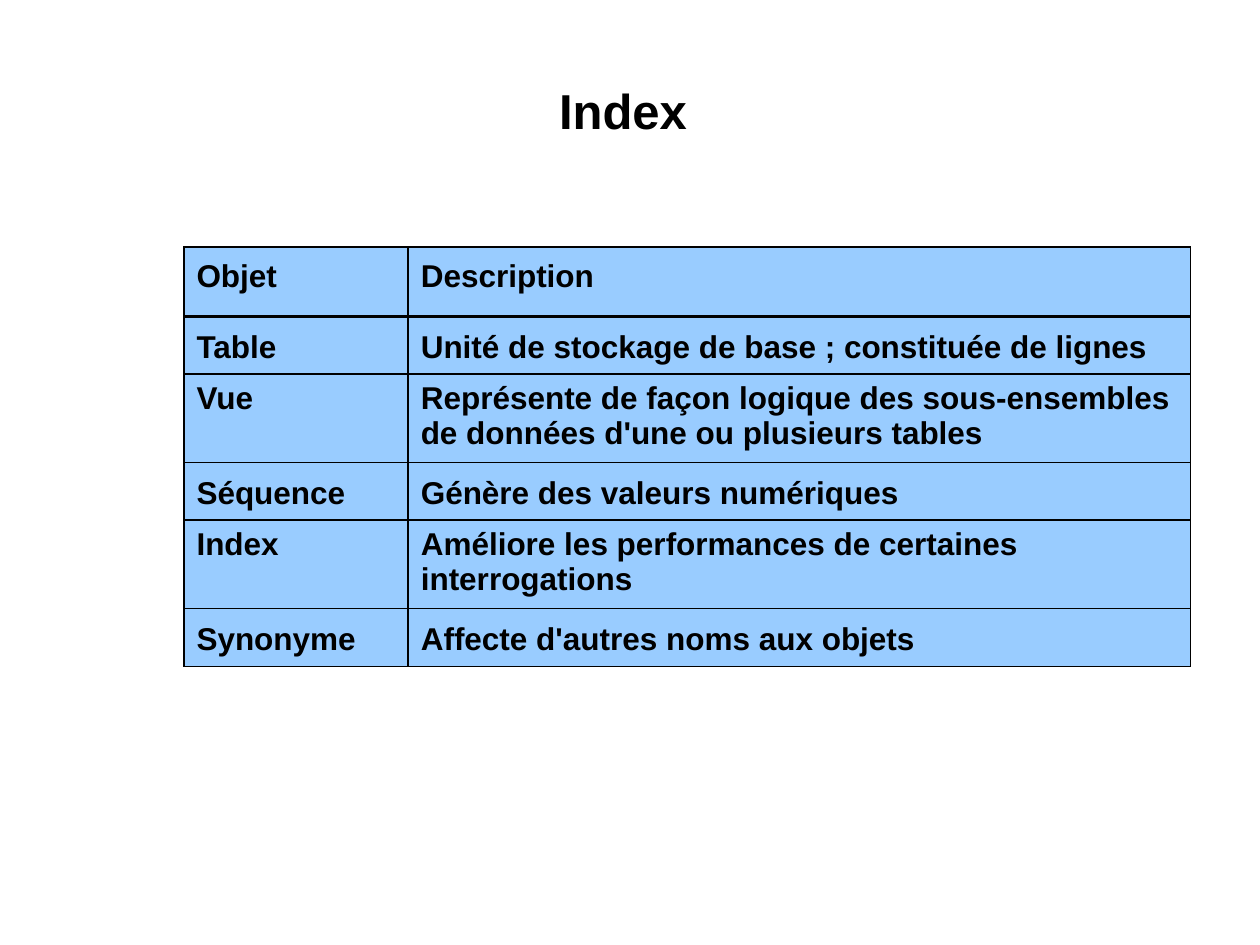
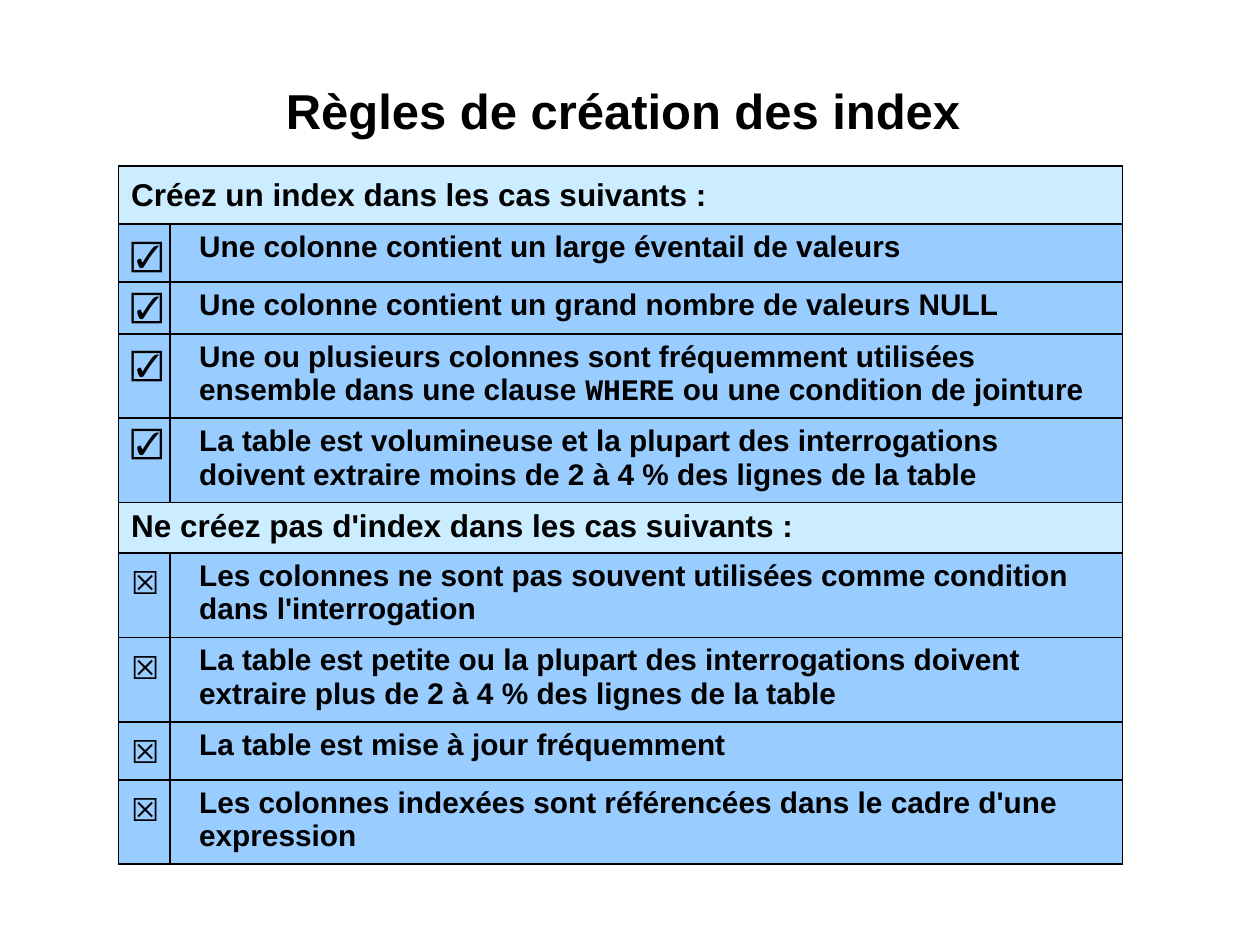
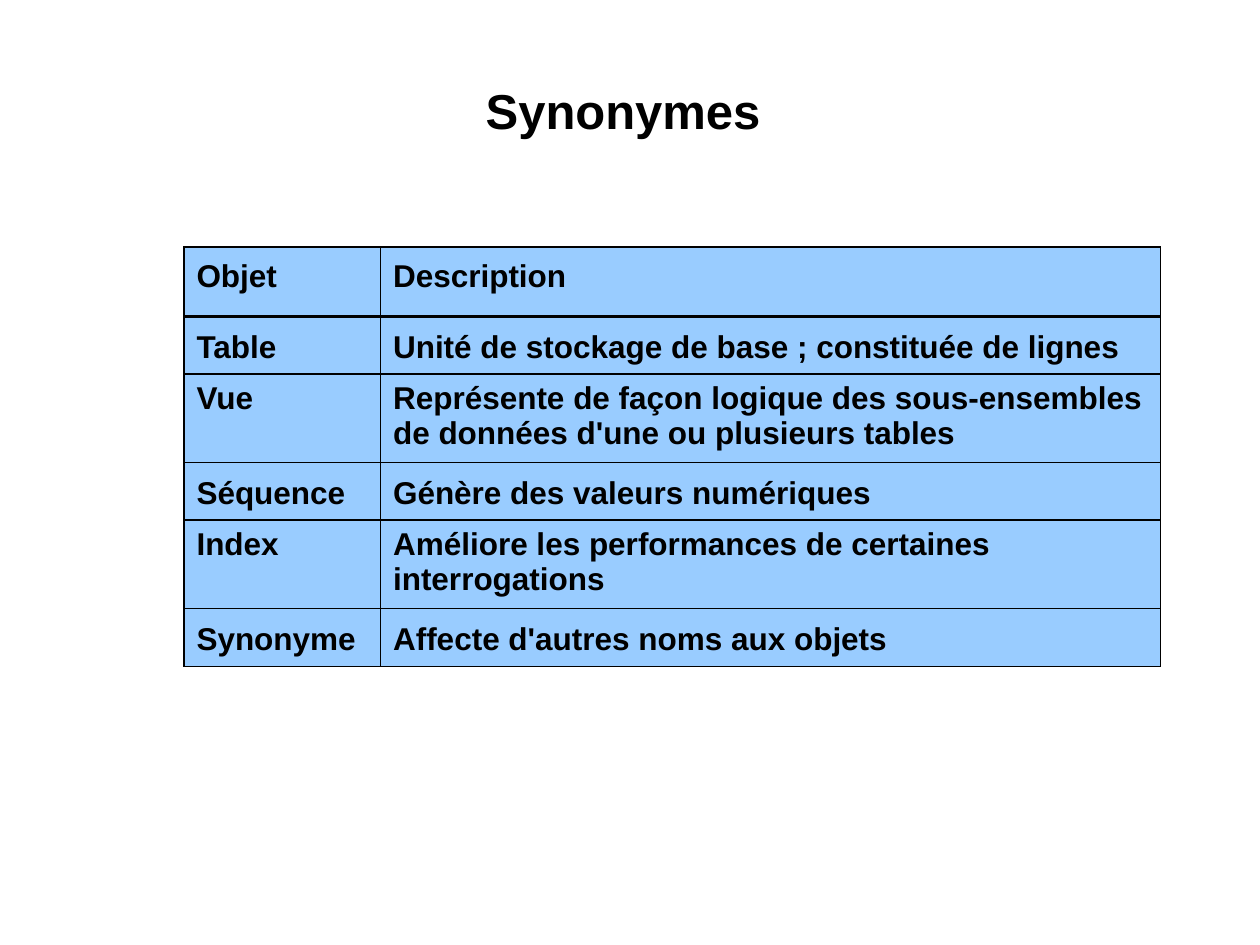
from lxml import etree
from pptx import Presentation
from pptx.dml.color import RGBColor
from pptx.enum.text import MSO_ANCHOR, MSO_AUTO_SIZE, PP_ALIGN
from pptx.oxml.ns import qn
from pptx.util import Inches, Pt

# Shared look
BLACK = RGBColor(0x00, 0x00, 0x00)
BLUE = RGBColor(0x99, 0xCC, 0xFF)
PALE = RGBColor(0xCC, 0xEC, 0xFF)
FONT, CODE_FONT = "Arial", "Courier New"
THIN, THICK = 1.08, 2.21

# Content: row height, line spacing of the first column, cells
OBJECT_ROWS = [
    (0.55, 1.15, ("Objet", "Description")),
    (0.46, 1.2, ("Table", "Unité de stockage de base ; constituée de lignes")),
    (0.7, 1, ("Vue", "Représente de façon logique des sous-ensembles "
                     "de données d'une ou plusieurs tables")),
    (0.46, 1.2, ("Séquence", "Génère des valeurs numériques")),
    (0.7, 1, ("Index", "Améliore les performances de certaines interrogations")),
    (0.46, 1.2, ("Synonyme", "Affecte d'autres noms aux objets")),
]
# A row with one cell is a heading across the table; backticks mark code
RULE_ROWS = [
    (0.46, 1.15, ("Créez un index dans les cas suivants :",)),
    (0.46, 1.2, ("☑", "Une colonne contient un large éventail de valeurs")),
    (0.41, 1, ("☑", "Une colonne contient un grand nombre de valeurs NULL")),
    (0.67, 1.2, ("☑", "Une ou plusieurs colonnes sont fréquemment utilisées ensemble "
                      "dans une clause `WHERE` ou une condition de jointure")),
    (0.67, 1, ("☑", "La table est volumineuse et la plupart des interrogations doivent "
                    "extraire moins de 2 à 4 % des lignes de la table")),
    (0.4, 1, ("Ne créez pas d'index dans les cas suivants :",)),
    (0.67, 1.2, ("☒", "Les colonnes ne sont pas souvent utilisées comme condition "
                      "dans l'interrogation")),
    (0.67, 1.2, ("☒", "La table est petite ou la plupart des interrogations doivent "
                      "extraire plus de 2 à 4 % des lignes de la table")),
    (0.46, 1.2, ("☒", "La table est mise à jour fréquemment")),
    (0.67, 1.2, ("☒", "Les colonnes indexées sont référencées dans le cadre "
                      "d'une expression")),
]
# Title, table corner, column widths, rows, whether the table is a checklist
SLIDES = [
    ("Index", (1.46, 1.96), (1.78, 6.21), OBJECT_ROWS, False),
    ("Règles de création des index", (0.94, 1.32), (0.41, 7.56), RULE_ROWS, True),
    ("Synonymes", (1.46, 1.96), (1.56, 6.19), OBJECT_ROWS, False),
]


def style_font(font, size):
    font.name, font.size, font.bold = FONT, Pt(size), True
    font.color.rgb = BLACK


def add_title(s, text):
    sp = s.shapes.title
    sp.left, sp.top, sp.width, sp.height = map(Inches, (1, 0.58, 8, 0.96))
    tf = sp.text_frame
    tf.auto_size, tf.vertical_anchor = MSO_AUTO_SIZE.NONE, MSO_ANCHOR.TOP
    tf.margin_left, tf.margin_top = Inches(0.01), Inches(0.06)
    tf.margin_right, tf.margin_bottom = Inches(0.12), Inches(0.01)
    p = tf.paragraphs[0]
    p.text, p.alignment = text, PP_ALIGN.CENTER
    style_font(p.font, 28)


def set_borders(cell, top, bottom):
    tc_pr = cell._tc.get_or_add_tcPr()
    for side, width in (("L", THIN), ("R", THIN), ("T", top), ("B", bottom)):
        ln = etree.SubElement(tc_pr, qn(f"a:ln{side}"), w=str(Pt(width)))
        fill = etree.SubElement(ln, qn("a:solidFill"))
        etree.SubElement(fill, qn("a:srgbClr"), val=str(BLACK))


def write_cell(cell, text, size, spacing, indent):
    p = cell.text_frame.paragraphs[0]
    p.line_spacing = spacing
    if indent:
        p.level = 1
        p_pr = p._p.get_or_add_pPr()
        p_pr.set("marL", str(Inches(indent)))
        p_pr.set("indent", "0")
    style_font(p.font, size)
    for i, part in enumerate(text.split("`")):
        r = p.add_run()
        r.text = part
        if i % 2:
            r.font.name = CODE_FONT


def add_grid(s, corner, widths, rows, checklist):
    size = sum(widths), sum(height for height, _, _ in rows)
    table = s.shapes.add_table(len(rows), len(widths),
                               *map(Inches, corner + size)).table
    table.first_row = table.horz_banding = False
    for column, width in zip(table.columns, widths):
        column.width = Inches(width)
    for i, (height, spacing, texts) in enumerate(rows):
        table.rows[i].height = Inches(height)
        heading = len(texts) == 1
        # Object tables have a thick rule under their first row
        top = THICK if i == 1 and not checklist else THIN
        bottom = THICK if i == 0 and not checklist else THIN
        for j in range(len(widths)):
            cell = table.cell(i, j)
            set_borders(cell, top, bottom)
            cell.fill.solid()
            cell.fill.fore_color.rgb = PALE if heading else BLUE
        if heading:
            table.cell(i, 0).merge(table.cell(i, len(widths) - 1))
        for j, text in enumerate(texts):
            if checklist and j:
                write_cell(table.cell(i, j), text, 17, 1, 0.13)
            else:
                write_cell(table.cell(i, j), text, 18, spacing, 0)


def main():
    prs = Presentation()
    prs.slide_width, prs.slide_height = Inches(10), Inches(7.5)
    for title, *grid in SLIDES:
        s = prs.slides.add_slide(prs.slide_layouts[5])
        add_title(s, title)
        add_grid(s, *grid)
    prs.save("out.pptx")


if __name__ == "__main__":
    main()
